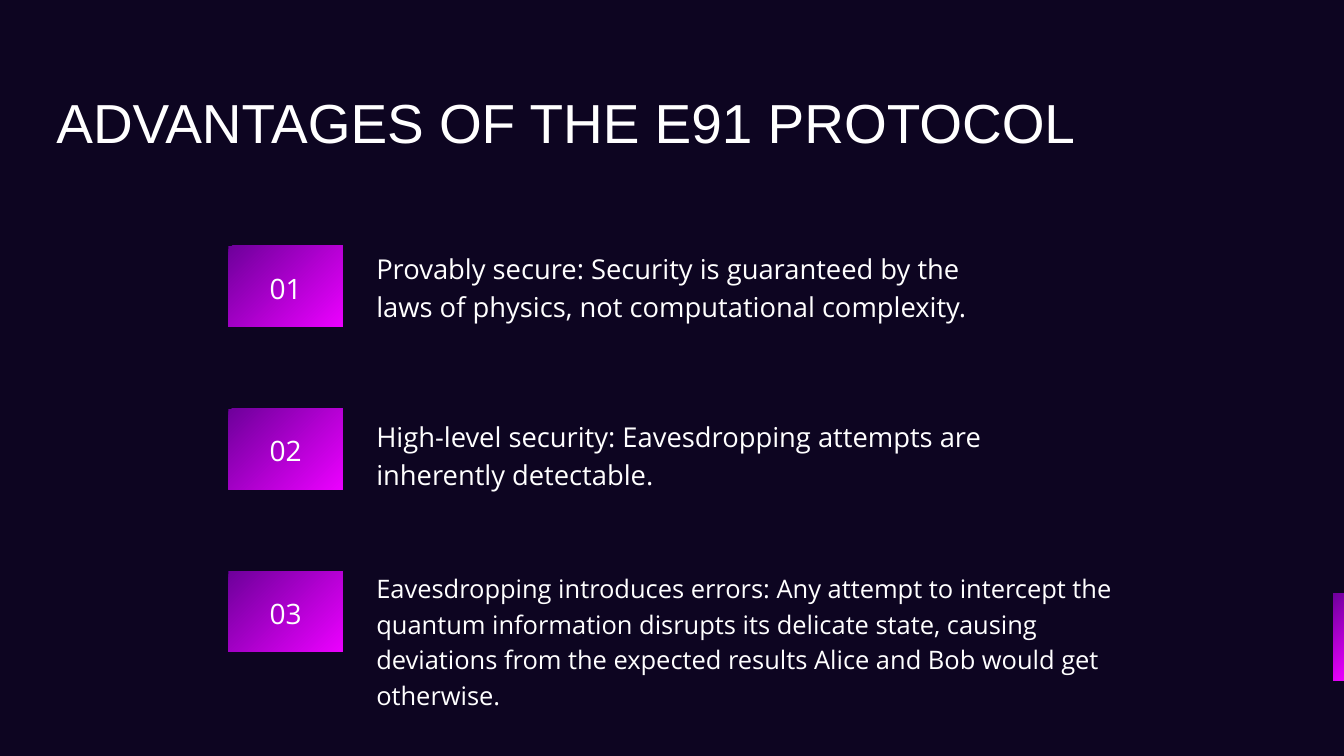
from pptx import Presentation
from pptx.dml.color import RGBColor
from pptx.enum import shapes, text
from pptx.util import Inches, Pt

BACKGROUND = RGBColor(0x0D, 0x05, 0x21)
PURPLE = RGBColor(0x6E, 0x00, 0x9B)
MAGENTA = RGBColor(0xEB, 0x00, 0xFF)
WHITE = RGBColor(0xFF, 0xFF, 0xFF)

FIRST_TOP = 3.66
ROW_STEP = 2.42
ADVANTAGES = [
    ("Provably secure: Security is guaranteed by the laws of physics, "
     "not computational complexity.",
     (5.6, 3.67, 9.1, 1.11), 29.3, 41),
    ("High-level security: Eavesdropping attempts are inherently detectable.",
     (5.6, 6.17, 9.1, 1.11), 29.3, 41),
    ("Eavesdropping introduces errors: Any attempt to intercept the quantum "
     "information disrupts its delicate state, causing deviations from the "
     "expected results Alice and Bob would get otherwise.",
     (5.6, 8.45, 11.28, 2.1), 27.3, 38.2),
]


def add_text(s, content, box, size, spacing, font="Open Sans",
             align=text.PP_ALIGN.LEFT):
    tf = s.shapes.add_textbox(*map(Inches, box)).text_frame
    tf.word_wrap = True
    tf.margin_left = tf.margin_top = tf.margin_right = tf.margin_bottom = 0
    p = tf.paragraphs[0]
    p.alignment = align
    p.line_spacing = Pt(spacing)
    r = p.add_run()
    r.text = content
    r.font.name = font
    r.font.size = Pt(size)
    r.font.color.rgb = WHITE


def add_gradient_block(s, box):
    sp = s.shapes.add_shape(shapes.MSO_SHAPE.RECTANGLE, *map(Inches, box))
    sp.shadow.inherit = False
    sp.line.fill.background()
    sp.fill.gradient()
    sp.fill.gradient_angle = 315
    for stop, color in zip(sp.fill.gradient_stops, (PURPLE, MAGENTA)):
        stop.color.rgb = color


def add_advantage(s, index, content, box, size, spacing):
    top = FIRST_TOP + index * ROW_STEP
    add_gradient_block(s, (3.4, top, 1.7, 1.2))
    add_text(s, f"{index + 1:02d}", (3.67, top + 0.29, 1.16, 0.56), 30.1, 42.1,
             align=text.PP_ALIGN.CENTER)
    add_text(s, content, box, size, spacing)


def main():
    prs = Presentation()
    prs.slide_width = Inches(20)
    prs.slide_height = Inches(11.25)
    s = prs.slides.add_slide(prs.slide_layouts[6])
    s.background.fill.solid()
    s.background.fill.fore_color.rgb = BACKGROUND

    add_gradient_block(s, (19.84, 8.83, 0.16, 1.29))
    add_text(s, "ADVANTAGES OF THE E91 PROTOCOL", (0.84, 1.16, 18.04, 1.12),
             58.9, 82.4, font="Arial")
    for index, advantage in enumerate(ADVANTAGES):
        add_advantage(s, index, *advantage)

    prs.save("out.pptx")


if __name__ == "__main__":
    main()
